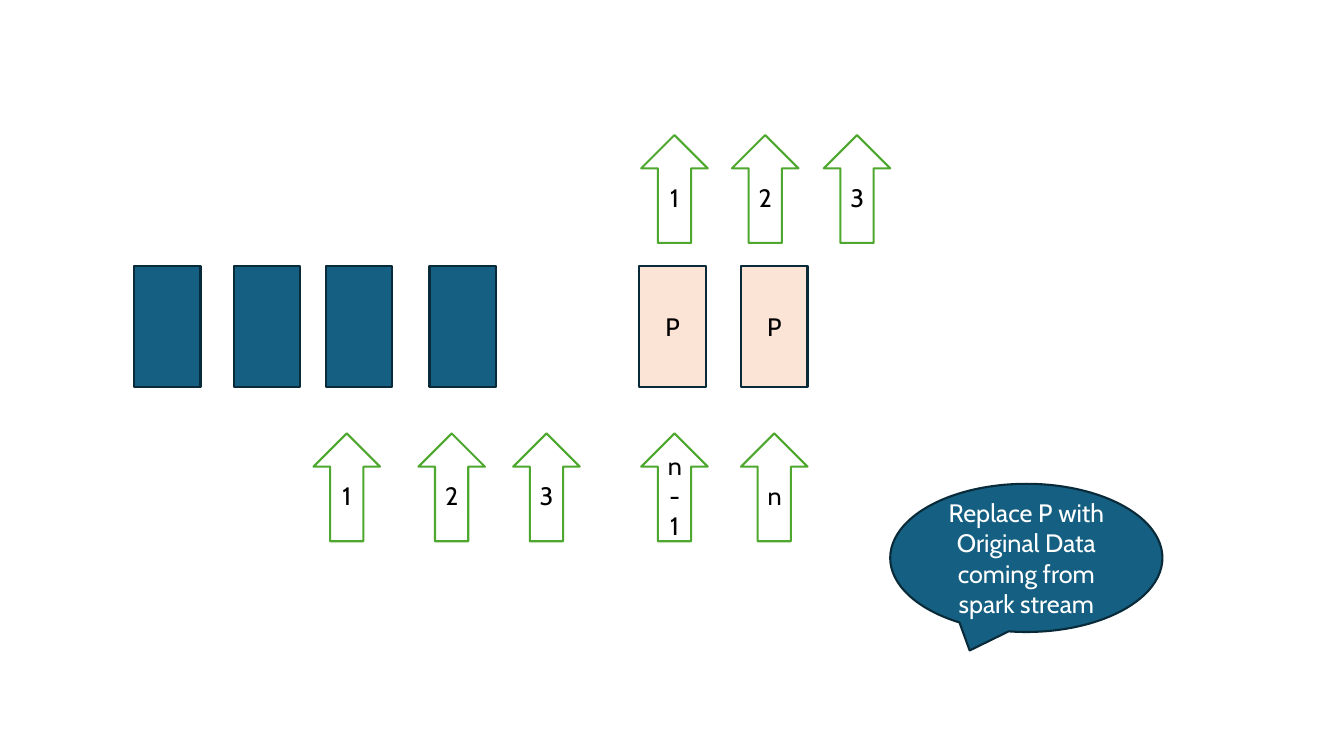
"""Build a slide of data blocks, parity blocks and numbered arrows."""
from pptx import Presentation
from pptx.dml.color import RGBColor
from pptx.enum import shapes, text
from pptx.util import Inches, Pt

BLUE = RGBColor(0x15, 0x60, 0x82)
NAVY = RGBColor(0x09, 0x2A, 0x39)
PEACH = RGBColor(0xFB, 0xE3, 0xD6)
GREEN = RGBColor(0x4E, 0xA7, 0x2E)
WHITE = RGBColor(0xFF, 0xFF, 0xFF)
BLACK = RGBColor(0, 0, 0)
KIND = shapes.MSO_SHAPE
WIDTH = 0.66


def add_shape(slide, kind, box, fill, line, label="", color=BLACK):
    """Add a filled, outlined shape with an optional centred label."""
    shape = slide.shapes.add_shape(kind, *map(Inches, box))
    shape.shadow.inherit = False
    shape.fill.solid()
    shape.fill.fore_color.rgb = fill
    shape.line.color.rgb = line
    shape.line.width = Pt(1.5)
    if label:
        frame = shape.text_frame
        frame.word_wrap = True
        frame.vertical_anchor = text.MSO_ANCHOR.MIDDLE
        para = frame.paragraphs[0]
        para.alignment = text.PP_ALIGN.CENTER
        run = para.add_run()
        run.text = label
        run.font.size = Pt(18)
        run.font.name = "Cabin"
        run.font.color.rgb = color


def add_block(slide, left, fill, label=""):
    """Add one block to the middle row."""
    add_shape(slide, KIND.RECTANGLE, (left, 2.64, WIDTH, 1.2), fill, NAVY, label)


def add_arrows(slide, top, items):
    """Add a row of labelled up arrows."""
    for left, label in items:
        box = (left, top, WIDTH, 1.07)
        add_shape(slide, KIND.UP_ARROW, box, WHITE, GREEN, label)


def main():
    """Build and save the slide."""
    deck = Presentation()
    deck.slide_width, deck.slide_height = Inches(13.33), Inches(7.5)
    slide = deck.slides.add_slide(deck.slide_layouts[6])
    for left in (1.33, 2.32, 3.23, 4.26):
        add_block(slide, left, BLUE)
    for left in (6.34, 7.35):
        add_block(slide, left, PEACH, "P")
    add_arrows(slide, 1.34, [(6.36, "1"), (7.26, "2"), (8.17, "3")])
    add_arrows(slide, 4.3, [(3.11, "1"), (4.15, "2"), (5.09, "3"),
                            (6.36, "n-1"), (7.35, "n")])
    add_shape(slide, KIND.OVAL_CALLOUT, (8.83, 4.8, 2.7, 1.47), BLUE, NAVY,
              "Replace P with Original Data coming from spark stream", WHITE)
    deck.save("out.pptx")


if __name__ == "__main__":
    main()
